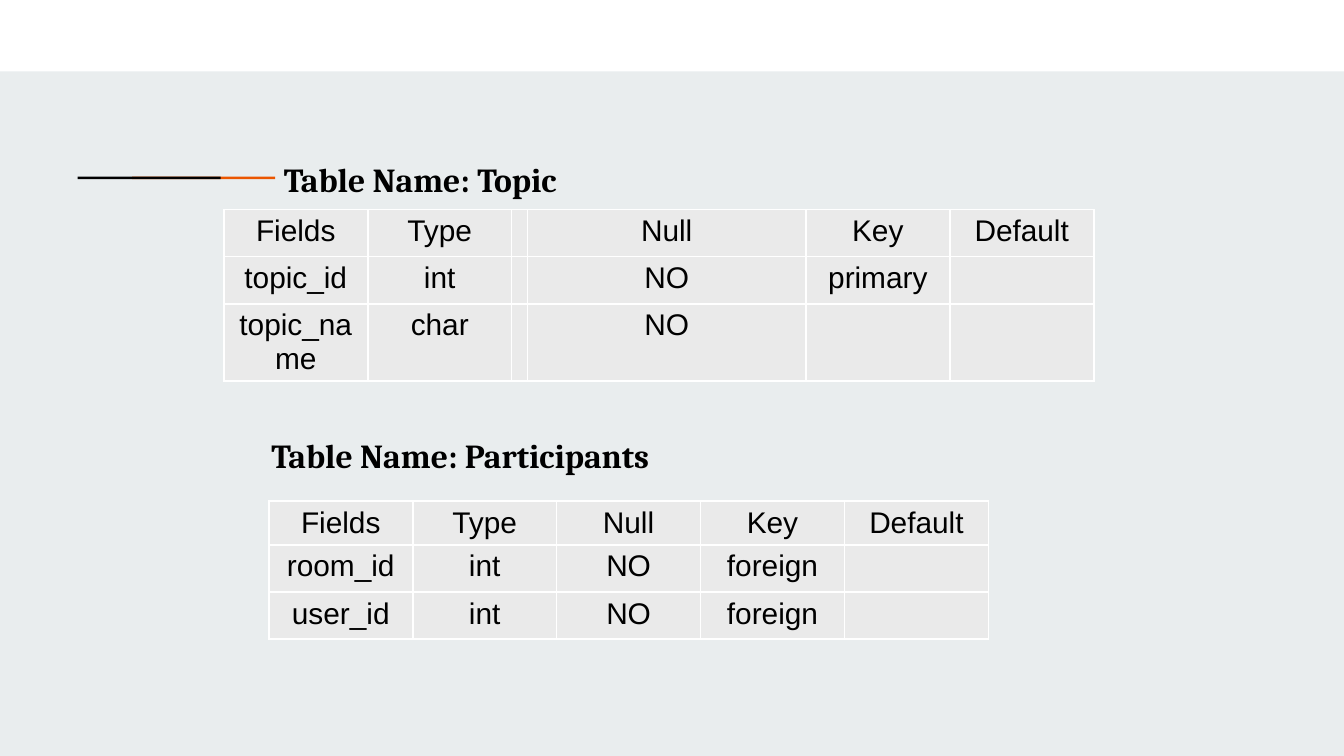
"""Build a slide that describes the Topic and Participants database tables."""
import pptx
import pptx.dml.color
import pptx.enum.shapes
import pptx.enum.text
import pptx.oxml
import pptx.oxml.ns
import pptx.util
from lxml import etree

Cm = pptx.util.Cm
COLORS = {"background": "E9EDEE", "white": "FFFFFF", "black": "000000",
          "accent": "EB5600", "cell": "EAEAEA"}


def rgb(name):
    return pptx.dml.color.RGBColor.from_string(COLORS[name])


def write(frame, text, *, size, font, bold=False, align="LEFT", spacing=1.0, before=0):
    paragraph = frame.paragraphs[0]
    paragraph.alignment = getattr(pptx.enum.text.PP_ALIGN, align)
    paragraph.line_spacing = spacing
    paragraph.space_before = pptx.util.Pt(before)
    if not text:
        etree.SubElement(paragraph._p, pptx.oxml.ns.qn("a:endParaRPr"), sz=str(size * 100))
        return
    run = paragraph.add_run()
    run.text = text
    run.font.size = pptx.util.Pt(size)
    run.font.name = font
    run.font.bold = bold
    run.font.color.rgb = rgb("black")


deck = pptx.Presentation()
deck.slide_width, deck.slide_height = Cm(25.4), Cm(14.29)
slide = deck.slides.add_slide(deck.slide_layouts[5])
slide.background.fill.solid()
slide.background.fill.fore_color.rgb = rgb("background")

for left, top, width, height, color in [
    (0, 0, 25.4, 1.35, "white"),
    (2.5, 3.34, 2.7, 0.05, "accent"),
    (1.47, 3.34, 2.7, 0.05, "black"),
]:
    bar = slide.shapes.add_shape(pptx.enum.shapes.MSO_SHAPE.RECTANGLE,
                                 Cm(left), Cm(top), Cm(width), Cm(height))
    bar.shadow.inherit = False
    bar.fill.solid()
    bar.fill.fore_color.rgb = rgb(color)
    bar.line.fill.background()

topic_heading = slide.shapes.title
participants_heading = slide.shapes.add_textbox(0, 0, 0, 0)
for heading, text, left, top in [
    (topic_heading, "Table Name: Topic", 5.11, 2.49),
    (participants_heading, "Table Name: Participants", 4.88, 7.72),
]:
    heading.left, heading.top = Cm(left), Cm(top)
    heading.width, heading.height = Cm(12.7), Cm(1.27)
    heading.text_frame.word_wrap = True
    heading.text_frame.auto_size = pptx.enum.text.MSO_AUTO_SIZE.NONE
    heading.text_frame.vertical_anchor = pptx.enum.text.MSO_ANCHOR.TOP
    write(heading.text_frame, text, size=18, font="Cambria", bold=True,
          spacing=1.5, before=11.8)

topic_rows = [
    ["Fields", "Type", "", "Null", "Key", "Default"],
    ["topic_id", "int", "", "NO", "primary", ""],
    ["topic_name", "char", "", "NO", "", ""],
]
participant_rows = [
    ["Fields", "Type", "Null", "Key", "Default"],
    ["room_id", "int", "NO", "foreign", ""],
    ["user_id", "int", "NO", "foreign", ""],
]
for rows, left, top, widths, heights in [
    (topic_rows, 4.23, 3.96, [2.72, 2.72, 0.18, 5.26, 2.72, 2.72], [0.82, 0.82, 1.45]),
    (participant_rows, 5.08, 9.47, [2.72] * 5, [0.82] * 3),
]:
    table = slide.shapes.add_table(len(rows), len(widths), Cm(left), Cm(top),
                                   Cm(sum(widths)), Cm(sum(heights))).table
    for column, width in zip(table.columns, widths):
        column.width = Cm(width)
    for row, height, texts in zip(table.rows, heights, rows):
        row.height = Cm(height)
        for cell, text in zip(row.cells, texts):
            cell.margin_left = cell.margin_right = Cm(0.1)
            cell.margin_top = cell.margin_bottom = Cm(0.1)
            for side in ("lnL", "lnR", "lnT", "lnB"):
                cell._tc.get_or_add_tcPr().append(pptx.oxml.parse_xml(
                    f'<a:{side} {pptx.oxml.ns.nsdecls("a")} w="12700"><a:solidFill>'
                    f'<a:srgbClr val="{COLORS["white"]}"/></a:solidFill></a:{side}>'))
            cell.fill.solid()
            cell.fill.fore_color.rgb = rgb("cell")
            write(cell.text_frame, text, size=16, font="Arial", align="CENTER")

deck.save("out.pptx")
